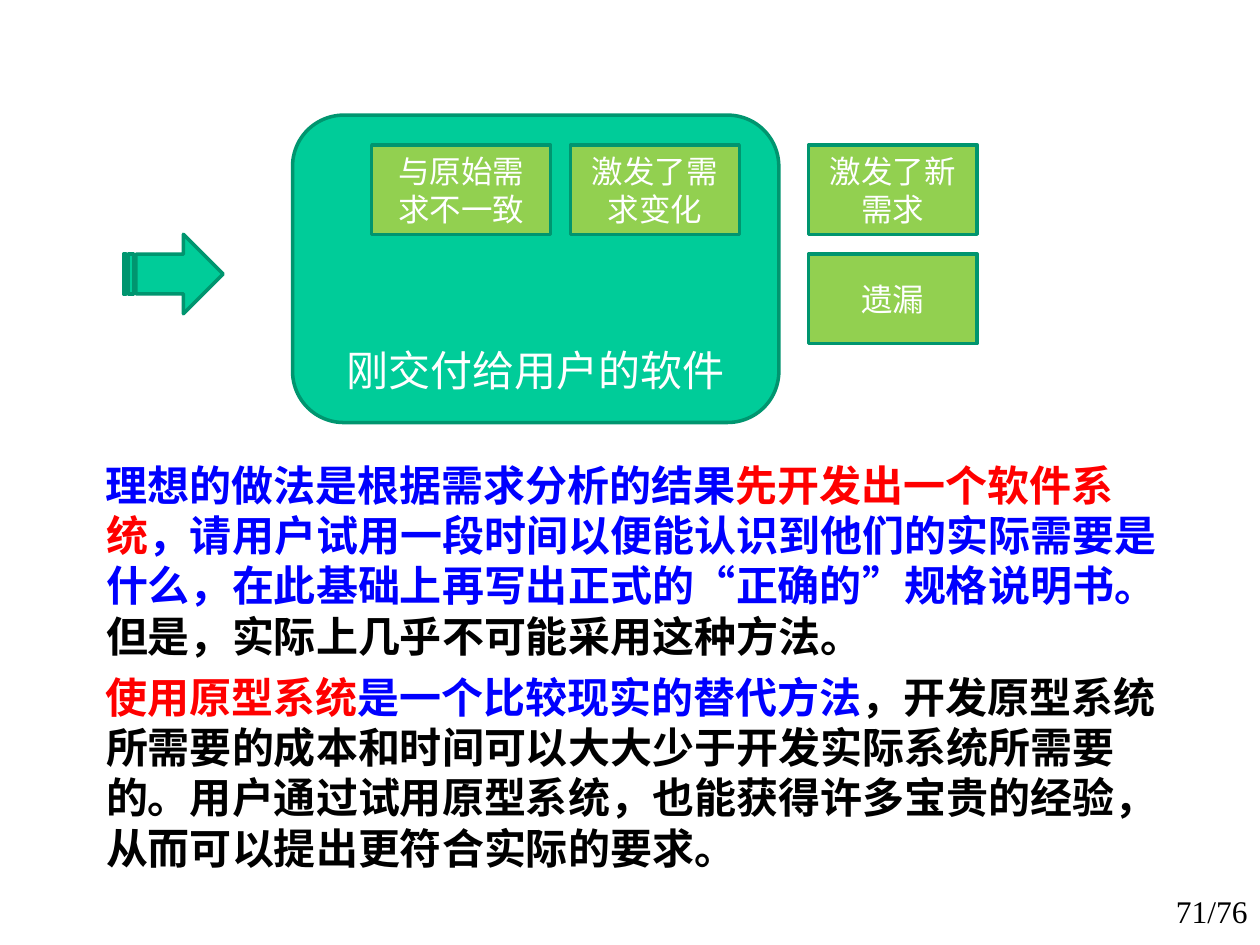
from pptx import Presentation
from pptx.dml.color import RGBColor
from pptx.enum.lang import MSO_LANGUAGE_ID
from pptx.enum.shapes import MSO_SHAPE
from pptx.enum.text import MSO_ANCHOR, PP_ALIGN
from pptx.util import Pt

CHINESE = MSO_LANGUAGE_ID.SIMPLIFIED_CHINESE
BLANK_LAYOUT = 6
SERIF, SANS = "Times New Roman", "Arial"
COLORS = {
    "green": "00CC99",
    "outline": "00956F",
    "lime": "92D050",
    "white": "FFFFFF",
    "black": "000000",
    "blue": "0000FF",
    "red": "FF0000",
}
PROBLEM_TOP, PROBLEM_HEIGHT, PROBLEM_STEP = 82.8, 51.1, 62.4
PROBLEMS = [  # text, left, width, row
    ("与原始需求不一致", 212.4, 102.2, 0),
    ("激发了需求变化", 326, 96.5, 0),
    ("遗漏", 462, 96.5, 1),
    ("激发了新需求", 462, 96.5, 0),
]
ADVICE = [
    [
        ("理想的做法是根据需求分析的结果", "blue", SERIF),
        ("先开发出一个软件系统", "red", SERIF),
        ("，请用户试用一段时间以便能认识到他们的实际需要是什么，在此基础上再写出正式的", "blue", SERIF),
        ("“", "blue", SANS),
        ("正确的", "blue", SERIF),
        ("”", "blue", SANS),
        ("规格说明书。", "blue", SERIF),
        ("但是，实际上几乎不可能采用这种方法。", "black", SERIF),
    ],
    [
        ("使用原型系统", "red", SERIF),
        ("是一个比较现实的替代方法", "blue", SERIF),
        ("，开发原型系统所需要的成本和时间可以大大少于开发实际系统所需要的。"
         "用户通过试用原型系统，也能获得许多宝贵的经验，从而可以提出更符合实际的要求。", "black", SERIF),
    ],
]


def rgb(name):
    return RGBColor.from_string(COLORS[name])


def add_span(para, text, color, size, name=SERIF, bold=False):
    span = para.add_run()
    span.text = text
    formats = {"name": name, "size": Pt(size), "bold": bold, "language_id": CHINESE}
    for attribute, value in formats.items():
        setattr(span.font, attribute, value)
    span.font.color.rgb = rgb(color)


def add_box(slide, left, top, width, height):
    """Add a wrapping text box and return its text frame."""
    box = slide.shapes.add_textbox(Pt(left), Pt(top), Pt(width), Pt(height))
    box.text_frame.word_wrap = True
    return box.text_frame


def add_outlined_shape(slide, kind, left, top, width, height, fill):
    shape = slide.shapes.add_shape(kind, Pt(left), Pt(top), Pt(width), Pt(height))
    shape.shadow.inherit = False
    shape.fill.solid()
    shape.fill.fore_color.rgb = rgb(fill)
    shape.line.color.rgb = rgb("outline")
    shape.line.width = Pt(2)
    return shape


def add_label(shape, text, size, anchor=MSO_ANCHOR.MIDDLE):
    frame = shape.text_frame
    frame.word_wrap = True
    frame.vertical_anchor = anchor
    para = frame.paragraphs[0]
    para.alignment = PP_ALIGN.CENTER
    add_span(para, text, "white", size)


def add_software(slide):
    software = add_outlined_shape(slide, MSO_SHAPE.ROUNDED_RECTANGLE,
                                  167.2, 65.8, 277.9, 175.7, "green")
    add_label(software, "刚交付给用户的软件", 24, MSO_ANCHOR.BOTTOM)
    software.text_frame.margin_bottom = Pt(7)


def add_problems(slide):
    for text, left, width, row in PROBLEMS:
        top = PROBLEM_TOP + row * PROBLEM_STEP
        problem = add_outlined_shape(slide, MSO_SHAPE.RECTANGLE,
                                     left, top, width, PROBLEM_HEIGHT, "lime")
        add_label(problem, text, 18)


def add_advice(slide):
    frame = add_box(slide, 31, 258.8, 660.2, 249.8)
    frame.margin_right = Pt(11)
    for index, spans in enumerate(ADVICE):
        para = frame.add_paragraph() if index else frame.paragraphs[0]
        para.space_before = Pt(6 if index else 0)
        properties = para._p.get_or_add_pPr()
        layout = {"marL": Pt(22.5), "indent": Pt(-0.5), "hangingPunct": 0}
        for attribute, value in layout.items():
            properties.set(attribute, str(value))
        for text, color, name in spans:
            add_span(para, text, color, 24, name, bold=True)


def add_page_number(slide):
    para = add_box(slide, 646.6, 506.2, 73.4, 29).paragraphs[0]
    para.alignment = PP_ALIGN.RIGHT
    add_span(para, "71/76", "black", 18)


def main():
    deck = Presentation()
    deck.slide_width, deck.slide_height = Pt(720), Pt(540)
    slide = deck.slides.add_slide(deck.slide_layouts[BLANK_LAYOUT])
    add_page_number(slide)
    add_advice(slide)
    add_software(slide)
    add_problems(slide)
    add_outlined_shape(slide, MSO_SHAPE.STRIPED_RIGHT_ARROW, 70.6, 133.9, 56.9, 45.4, "green")
    deck.save("out.pptx")


if __name__ == "__main__":
    main()
